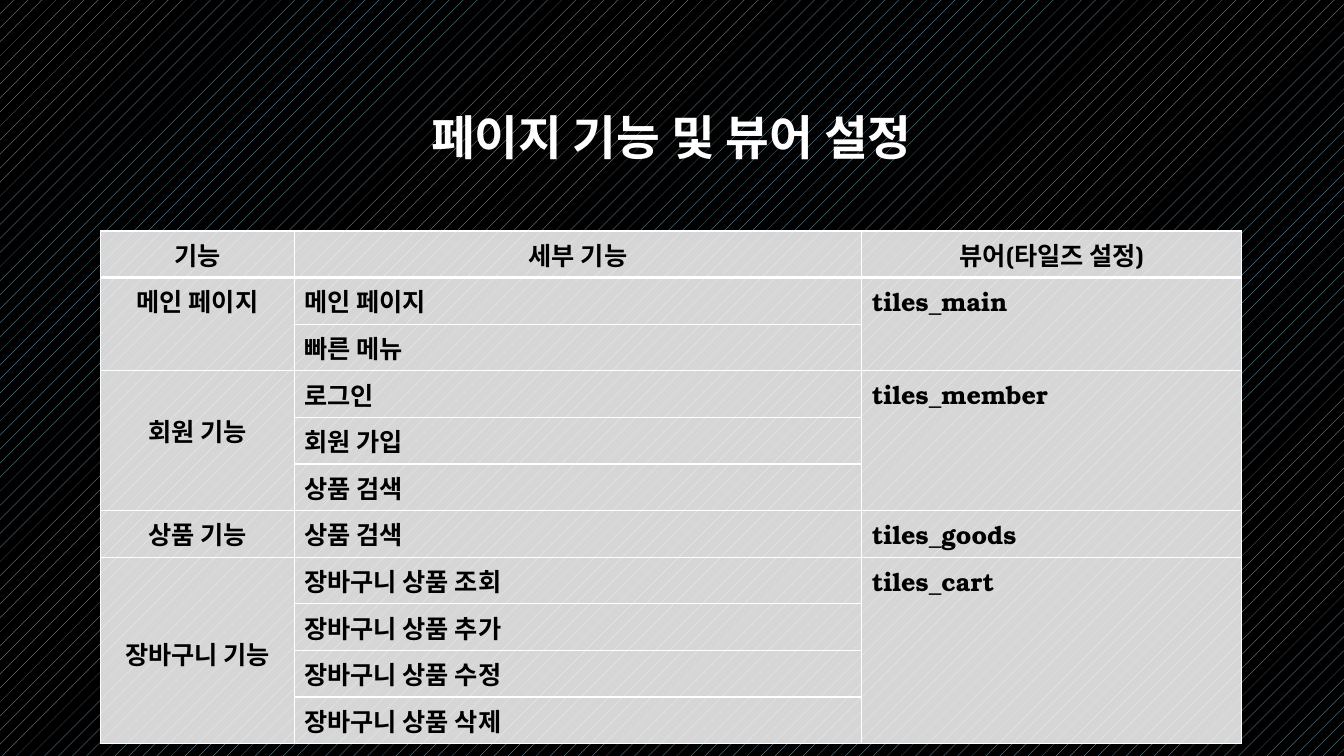
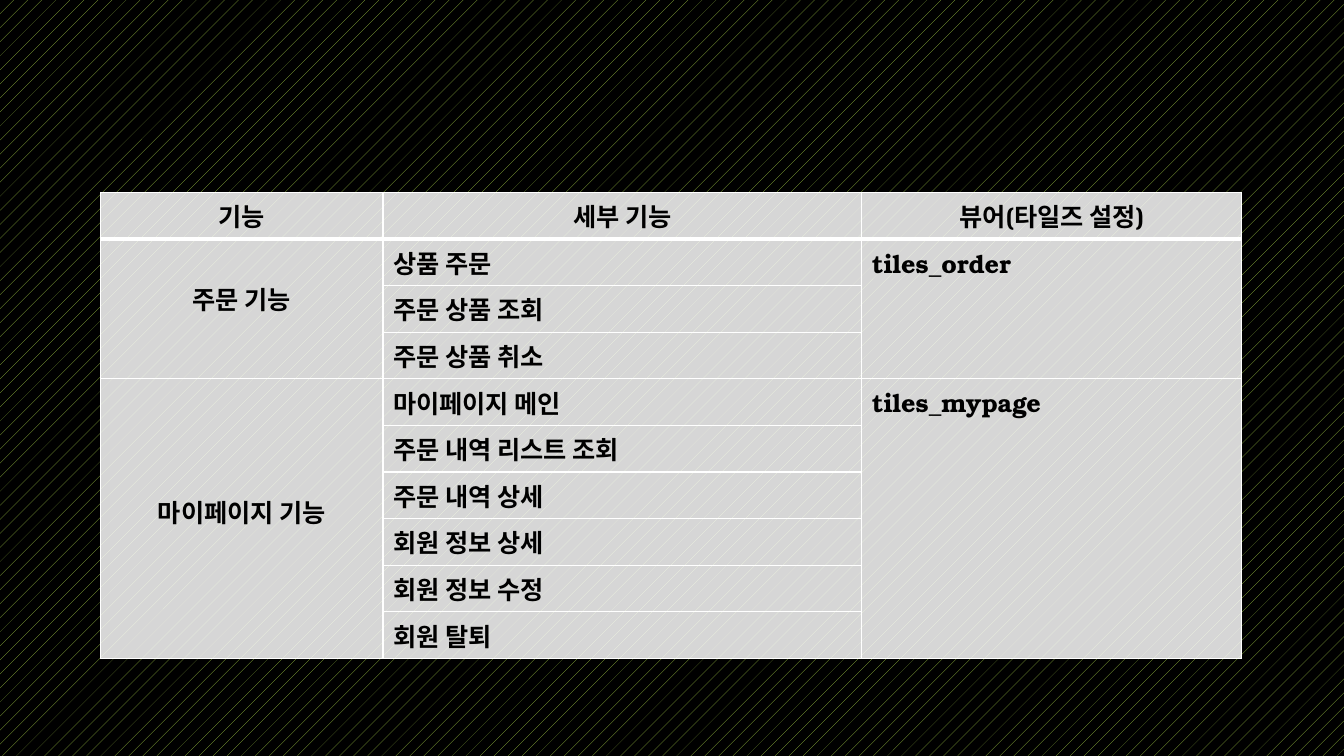
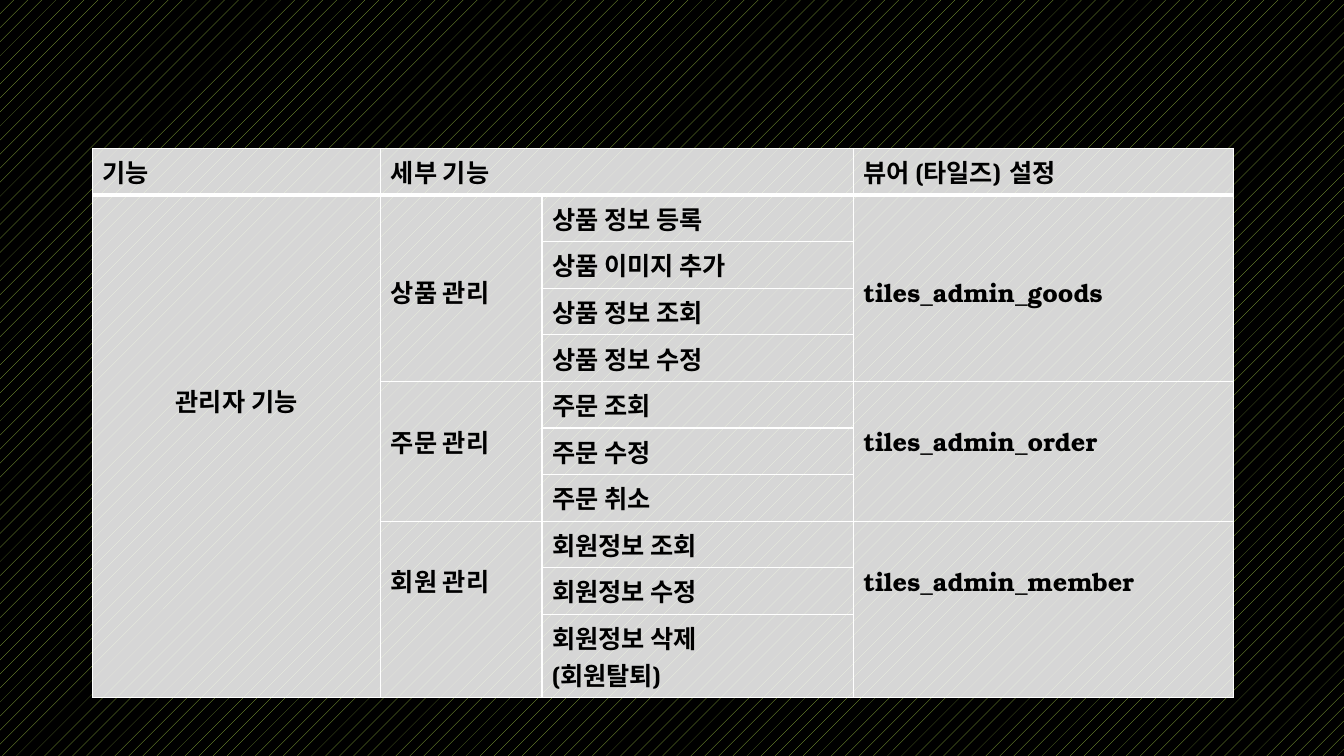
from dataclasses import dataclass

from lxml.etree import SubElement as Sub
from pptx import Presentation
from pptx.dml.color import RGBColor as Rgb
from pptx.enum.dml import MSO_PATTERN as Pattern
from pptx.enum.text import MSO_ANCHOR as Anchor, PP_ALIGN as Align
from pptx.oxml import parse_xml
from pptx.oxml.ns import nsdecls, qn
from pptx.util import Pt


@dataclass(frozen=True)
class Theme:
    font: str = "TeX Gyre Bonum"
    white: str = "FFFFFF"
    black: str = "000000"
    blue: str = "92C4E0"
    green: str = "9EC544"
    title: float = 34
    body: float = 18
    line: float = 26.1   # height of one line of body text
    pad: float = 3.6     # space above and below the text of a cell
    alpha: int = 84000
    thin: float = 1
    thick: float = 3


T = Theme()


@dataclass
class Grid:
    """Header items are (text, columns); column items are (text, rows)."""
    box: tuple      # left, top
    widths: list
    head: list
    cols: list
    align: Align = Align.CENTER
    low: tuple = (0,)   # columns whose tall cells start lower


def style(para, size, color, align):
    para.alignment = align
    font = para.font
    font.name, font.size, font.bold = T.font, Pt(size), True
    font.color.rgb = Rgb.from_string(color)


def new_slide(deck, dots):
    slide = deck.slides.add_slide(deck.slide_layouts[6])
    fill = slide.background.fill
    fill.patterned()
    fill.pattern = Pattern.PERCENT_5
    fill.fore_color.rgb = Rgb.from_string(dots)
    fill.back_color.rgb = Rgb.from_string(T.black)
    return slide


def add_title(slide, text, box):
    frame = slide.shapes.add_textbox(*map(Pt, box)).text_frame
    frame.word_wrap = True
    frame.vertical_anchor = Anchor.MIDDLE
    para = frame.paragraphs[0]
    para.text = text
    para.line_spacing = 0.9
    style(para, T.title, T.white, Align.CENTER)


def paint(cell, row):
    """Give a cell its clear white fill and its borders."""
    cell.fill.solid()
    cell.fill.fore_color.rgb = Rgb.from_string(T.white)
    props = cell._tc.get_or_add_tcPr()
    color = props.find(qn("a:solidFill")).find(qn("a:srgbClr"))
    Sub(color, qn("a:alpha"), val=str(T.alpha))
    top = T.thick if row == 1 else T.thin
    base = T.thick if row == 0 else T.thin
    edges = (("lnL", T.thin), ("lnR", T.thin), ("lnT", top), ("lnB", base))
    for i, (tag, width) in enumerate(edges):
        props.insert(i, parse_xml(
            f'<a:{tag} {nsdecls("a")} w="{Pt(width)}"><a:solidFill>'
            f'<a:srgbClr val="{T.white}"/></a:solidFill></a:{tag}>'))


def write(cell, text, align, gap=0):
    cell.text = text
    cell.margin_top = Pt(T.pad + gap * T.line)
    cell.margin_bottom = Pt(T.pad)
    for para in cell.text_frame.paragraphs:
        style(para, T.body, T.black, align)


def add_grid(slide, grid):
    details = grid.cols[-2]
    lines = [1] + [text.count("\n") + 1 for text, _ in details]
    highs = [n * T.line + 2 * T.pad for n in lines]
    size = sum(grid.widths), sum(highs)
    table = slide.shapes.add_table(
        len(highs), len(grid.widths), *map(Pt, grid.box + size)).table
    table.first_row = table.horz_banding = False
    for col, width in zip(table.columns, grid.widths):
        col.width = Pt(width)
    for r, (row, high) in enumerate(zip(table.rows, highs)):
        row.height = Pt(high)
        for cell in row.cells:
            paint(cell, r)

    c = 0
    for text, span in grid.head:
        cell = table.cell(0, c)
        if span > 1:
            cell.merge(table.cell(0, c + span - 1))
        write(cell, text, grid.align)
        c += span

    for c, items in enumerate(grid.cols):
        r = 1
        for text, span in items:
            cell = table.cell(r, c)
            if span > 1:
                cell.merge(table.cell(r + span - 1, c))
            gap = span // 2 if c in grid.low and span > 2 else 0
            write(cell, text, Align.LEFT if c else Align.CENTER, gap)
            r += span


def single(*texts):
    return [(text, 1) for text in texts]


HEAD = single("기능", "세부 기능", "뷰어(타일즈 설정)")

SHOP = Grid(
    (72, 165), [138.2, 405.4, 271.4], HEAD,
    [[("메인 페이지", 2), ("회원 기능", 3), ("상품 기능", 1), ("장바구니 기능", 4)],
     single("메인 페이지", "빠른 메뉴", "로그인", "회원 가입", "상품 검색",
            "상품 검색", "장바구니 상품 조회", "장바구니 상품 추가",
            "장바구니 상품 수정", "장바구니 상품 삭제"),
     [("tiles_main", 2), ("tiles_member", 3), ("tiles_goods", 1),
      ("tiles_cart", 4)]])

ORDER = Grid(
    (72, 137.5), [201.6, 342, 271.4], HEAD,
    [[("주문 기능", 3), ("마이페이지 기능", 6)],
     single("상품 주문", "주문 상품 조회", "주문 상품 취소", "마이페이지 메인",
            "주문 내역 리스트 조회", "주문 내역 상세", "회원 정보 상세",
            "회원 정보 수정", "회원 탈퇴"),
     [("tiles_order", 3), ("tiles_mypage", 6)]])

ADMIN = Grid(
    (66, 106), [206, 115.2, 222.4, 271.4],
    [("기능", 1), ("세부 기능", 2), ("뷰어 (타일즈) 설정", 1)],
    [[("관리자 기능", 10)],
     [("상품 관리", 4), ("주문 관리", 3), ("회원 관리", 3)],
     single("상품 정보 등록", "상품 이미지 추가", "상품 정보 조회",
            "상품 정보 수정", "주문 조회", "주문 수정", "주문 취소",
            "회원정보 조회", "회원정보 수정", "회원정보 삭제\n(회원탈퇴)"),
     [("tiles_admin_goods", 4), ("tiles_admin_order", 3),
      ("tiles_admin_member", 3)]],
    align=Align.LEFT, low=(0, 1, 3))


def main():
    deck = Presentation()
    deck.slide_width, deck.slide_height = Pt(960), Pt(540)
    first = new_slide(deck, T.blue)
    add_title(first, "페이지 기능 및 뷰어 설정", (72, 48, 815, 104.4))
    add_grid(first, SHOP)
    for grid in (ORDER, ADMIN):
        add_grid(new_slide(deck, T.green), grid)
    deck.save("out.pptx")


if __name__ == "__main__":
    main()
